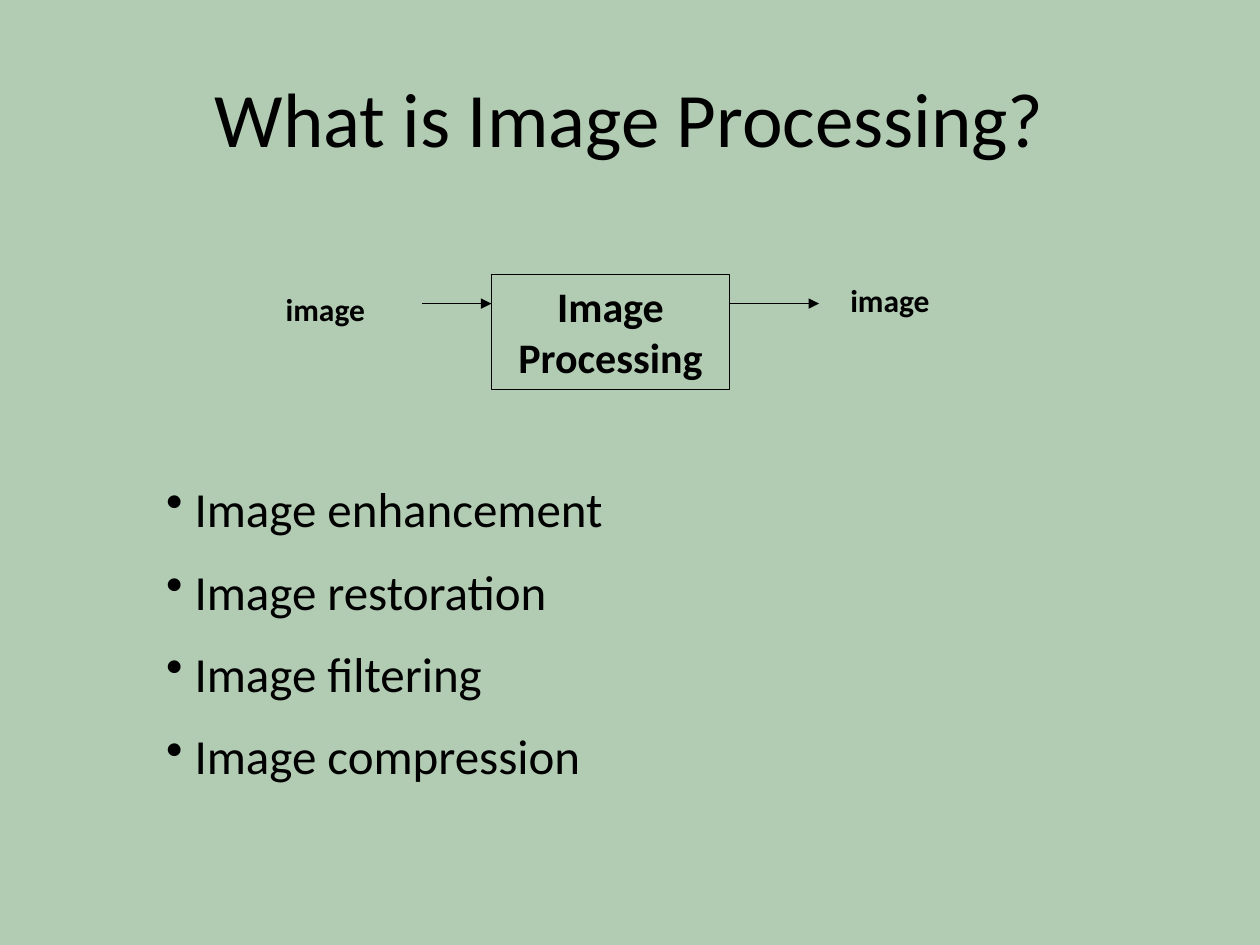
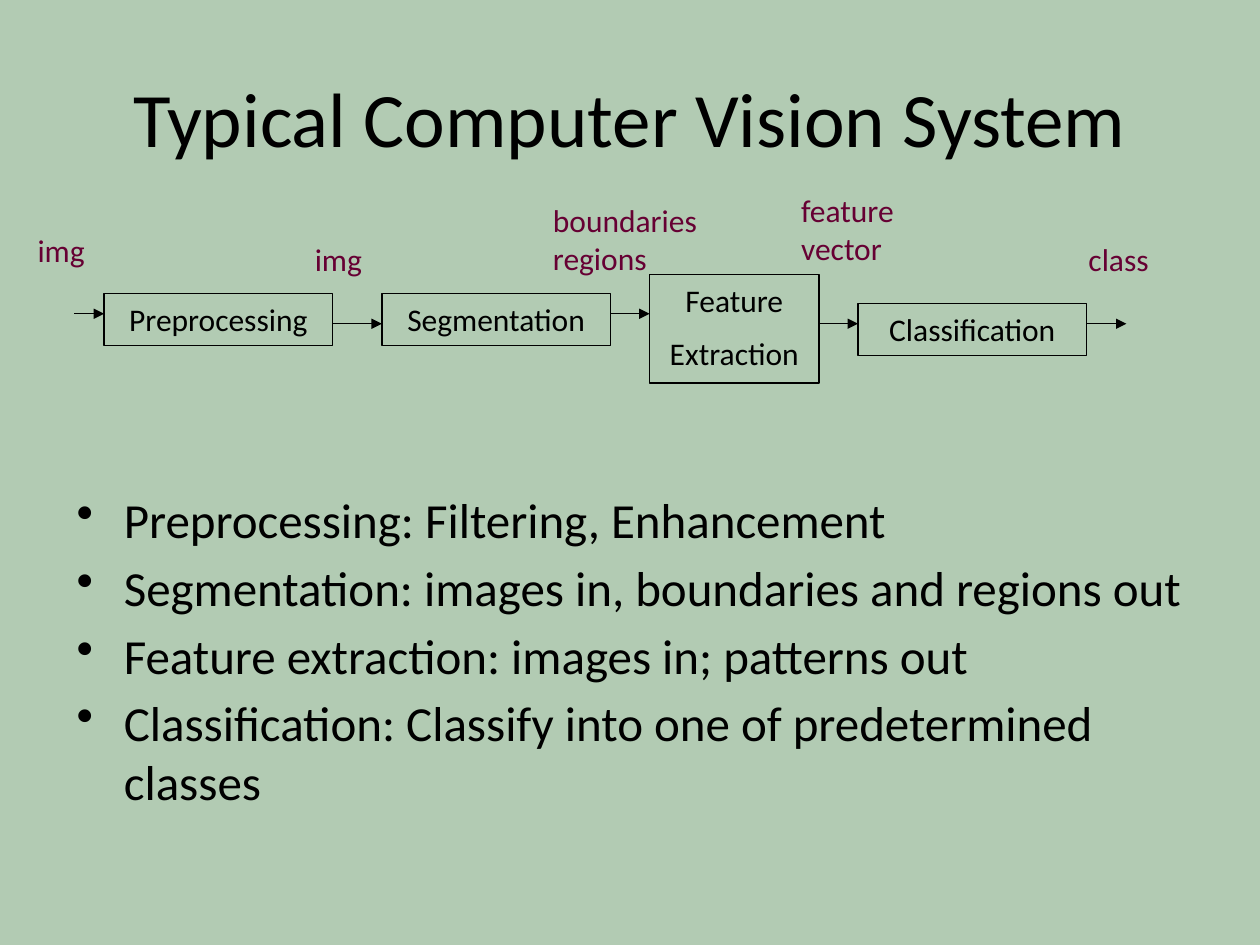
from lxml import etree
from pptx import Presentation
from pptx.dml.color import RGBColor
from pptx.enum import shapes, text
from pptx.oxml import ns
from pptx.util import Pt

SAGE = RGBColor(0xB2, 0xCB, 0xB3)
BLACK = RGBColor(0, 0, 0)
PLUM = RGBColor(0x66, 0, 0x33)
FONT = "Calibri"
LEFT, CENTER = text.PP_ALIGN.LEFT, text.PP_ALIGN.CENTER


def add_box(page, place, lines, size, color=BLACK, bold=False, align=LEFT,
            gap=0, hanging=0, framed=False, wrap=True):
    """Add text at (left, top, width, height); hanging > 0 makes bullets."""
    place = [Pt(value) for value in place]
    if framed:
        box = page.shapes.add_shape(shapes.MSO_SHAPE.RECTANGLE, *place)
        box.shadow.inherit = False
        box.fill.background()
        box.line.color.rgb = BLACK
        box.line.width = Pt(0.75)
    else:
        box = page.shapes.add_textbox(*place)
    frame = box.text_frame
    frame.word_wrap = wrap
    frame.vertical_anchor = text.MSO_ANCHOR.TOP
    frame.text = "\n".join(lines)
    for index, para in enumerate(frame.paragraphs):
        para.alignment = align
        if index and gap:
            para.space_before = Pt(gap)
        if hanging:
            properties = para._p.get_or_add_pPr()
            properties.set("marL", str(Pt(hanging)))
            properties.set("indent", str(-Pt(hanging)))
            etree.SubElement(properties, ns.qn("a:buChar"), char="•")
        para.font.name = FONT
        para.font.size = Pt(size)
        para.font.bold = bold
        para.font.color.rgb = color
    return box


def add_arrow(page, start, end, y):
    """Add a horizontal arrow from x = start to x = end."""
    arrow = page.shapes.add_connector(
        shapes.MSO_CONNECTOR.STRAIGHT, Pt(start), Pt(y), Pt(end), Pt(y))
    arrow.line.color.rgb = BLACK
    arrow.line.width = Pt(0.75)
    etree.SubElement(arrow.line._get_or_add_ln(), ns.qn("a:tailEnd"), type="triangle")
    etree.SubElement(arrow._element.spPr, ns.qn("a:effectLst"))


deck = Presentation()
deck.slide_width, deck.slide_height = Pt(720), Pt(540)

pages = []
for heading in ("What is Image Processing?", "Typical Computer Vision System"):
    page = deck.slides.add_slide(deck.slide_layouts[6])
    page.background.fill.solid()
    page.background.fill.fore_color.rgb = SAGE
    title = add_box(page, (36, 21.6, 648, 90), [heading], 44, align=CENTER)
    title.text_frame.vertical_anchor = text.MSO_ANCHOR.MIDDLE
    pages.append(page)
processing, vision = pages

# Image processing: image in, image out
add_box(processing, (280.8, 157, 136.1, 65.5), ["Image Processing"], 24,
        bold=True, align=CENTER, framed=True)
for start, end in ((241.2, 280.8), (416.9, 468)):
    add_arrow(processing, start, end, 173.5)
for left, top in ((156.2, 162), (478.8, 157)):
    add_box(processing, (left, top, 79.2, 28.8), ["image"], 18, bold=True)
add_box(processing, (87.8, 270, 510.5, 242.6),
        ["Image enhancement", "Image restoration", "Image filtering", "Image compression"],
        28, gap=13.5, hanging=16.3)

# Vision system: four stages in a row
stages = [
    (59.5, 167.8, 130.6, 29.5, ["Preprocessing"]),
    (218.2, 167.8, 130.6, 29.5, ["Segmentation"]),
    (371.2, 157, 96.8, 61.9, ["Feature", "Extraction"]),
    (490.3, 173.5, 130.6, 29.5, ["Classification"]),
]
for *place, lines in stages:
    add_box(vision, place, lines, 18, align=CENTER, gap=9, framed=True)

starts = [42.5] + [left + width for left, top, width, height, lines in stages]
ends = [stage[0] for stage in stages] + [643.7]
for start, end, y in zip(starts, ends, (179.3, 185, 179.3, 185, 185)):
    add_arrow(vision, start, end, y)

signals = [
    (14.4, 128.2, 59.8, 28.8, ["img"]),
    (172.8, 133.9, 59.8, 28.8, ["img"]),
    (308.9, 111.6, 118.8, 50.4, ["boundaries", "regions"]),
    (450.7, 105.8, 70.6, 50.4, ["feature", "vector"]),
    (614.9, 133.9, 56.9, 28.8, ["class"]),
]
for *place, lines in signals:
    add_box(vision, place, lines, 18, color=PLUM, wrap=lines[0] != "feature")

add_box(vision, (36.7, 276.4, 648, 208),
        ["Preprocessing: Filtering, Enhancement",
         "Segmentation: images in, boundaries and regions out",
         "Feature extraction: images in; patterns out",
         "Classification: Classify into one of predetermined classes"],
        28, gap=5, hanging=27)

deck.save("out.pptx")
